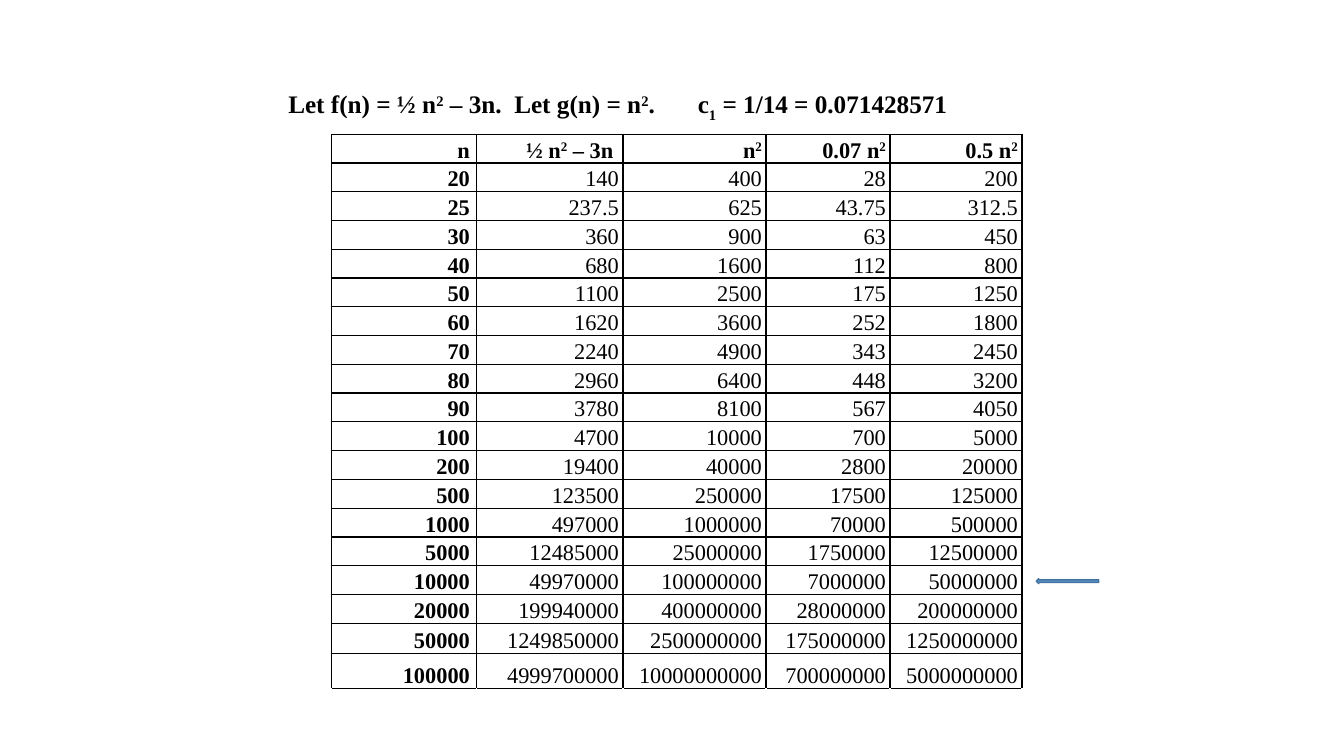
from lxml import etree
from pptx import Presentation
from pptx.dml.color import RGBColor
from pptx.enum import shapes, text
from pptx.oxml import ns
from pptx.util import Pt

SUPER, SUB = 30000, -25000
BLACK, WHITE = "000000", "FFFFFF"


def add_runs(paragraph, runs, size, bold):
    """Add (text, baseline) runs; baseline is in thousandths of a percent."""
    for words, baseline in runs:
        run = paragraph.add_run()
        run.text = words
        run.font.name = "Times New Roman"
        run.font.size = Pt(size)
        run.font.bold = bold
        run.font.color.rgb = RGBColor.from_string(BLACK)
        if baseline:
            run.font._element.set("baseline", str(baseline))


def style_cell(cell, borders):
    """Fill the cell white and draw its left, right, top and bottom borders."""
    cell.fill.solid()
    cell.fill.fore_color.rgb = RGBColor.from_string(WHITE)
    properties = cell._tc.get_or_add_tcPr()
    for position, (side, color) in enumerate(zip("LRTB", borders)):
        line = etree.Element(ns.qn(f"a:ln{side}"), w=str(Pt(1)))
        solid = etree.SubElement(line, ns.qn("a:solidFill"))
        etree.SubElement(solid, ns.qn("a:srgbClr"), val=color)
        properties.insert(position, line)


presentation = Presentation()
presentation.slide_width, presentation.slide_height = Pt(960), Pt(540)
slide = presentation.slides.add_slide(presentation.slide_layouts[5])

# Title with the two functions and the constant
title = slide.shapes.title
title.left, title.top, title.width, title.height = Pt(198.7), Pt(59.8), Pt(516.2), Pt(29)
frame = title.text_frame
frame.word_wrap = True
frame.auto_size = text.MSO_AUTO_SIZE.NONE
frame.vertical_anchor = text.MSO_ANCHOR.TOP
paragraph = frame.paragraphs[0]
paragraph.alignment = text.PP_ALIGN.LEFT
tabs = etree.SubElement(paragraph._p.get_or_add_pPr(), ns.qn("a:tabLst"))
etree.SubElement(tabs, ns.qn("a:tab"), pos=str(Pt(292.5)), algn="l")
add_runs(paragraph, [
    ("Let f(n) = ½ n", 0), ("2", SUPER), (" – 3n.  Let g(n) = n", 0), ("2", SUPER),
    (".\tc", 0), ("1", SUB), (" = 1/14 = 0.071428571", 0),
], 18, True)

# Table of function values, closed by an empty row
headers = [
    [("n", 0)],
    [("½ n", 0), ("2", SUPER), (" – 3n ", 0)],
    [("n", 0), ("2", SUPER)],
    [("0.07 n", 0), ("2", SUPER)],
    [("0.5 n", 0), ("2", SUPER)],
]
sizes = [20, 25, 30, 40, 50, 60, 70, 80, 90, 100, 200, 500,
         1000, 5000, 10000, 20000, 50000, 100000]
rows = [headers]
for n in sizes:
    values = [n, n * n / 2 - 3 * n, n * n, 7 * n * n / 100, n * n / 2]
    rows.append([[(f"{value:.12g}", 0)] for value in values])

column_widths = [103.7, 104.4, 102.2, 88.6, 94.3]
row_heights = [20.57] * 17 + [21.6, 25.2, 27.4]
table = slide.shapes.add_table(
    len(row_heights), len(column_widths), Pt(236.9), Pt(95.8),
    Pt(sum(column_widths)), Pt(sum(row_heights))).table
table.first_row = table.horz_banding = False
for column, width in zip(table.columns, column_widths):
    column.width = Pt(width)
for row, height in zip(table.rows, row_heights):
    row.height = Pt(height)

for row_index, row in enumerate(rows):
    for column_index, runs in enumerate(row):
        cell = table.cell(row_index, column_index)
        style_cell(cell, [BLACK] * 4)
        cell.vertical_anchor = text.MSO_ANCHOR.BOTTOM
        cell.margin_top = cell.margin_bottom = 0
        cell.margin_left = cell.margin_right = Pt(5 if column_index == 0 else 3)
        paragraph = cell.text_frame.paragraphs[0]
        paragraph.alignment = text.PP_ALIGN.RIGHT
        paragraph.line_spacing = 1.07
        add_runs(paragraph, runs, 16, row_index == 0 or column_index == 0)

for cell in table.rows[len(rows)].cells:
    style_cell(cell, [WHITE, WHITE, BLACK, WHITE])
    cell.text_frame.paragraphs[0].font.size = Pt(12)

# Arrow pointing at the row for n = 10000
arrow = slide.shapes.add_shape(
    shapes.MSO_SHAPE.LEFT_ARROW, Pt(740.2), Pt(413.3), Pt(44.6), Pt(3.6))
arrow.shadow.inherit = False
arrow.fill.solid()
arrow.fill.fore_color.rgb = RGBColor.from_string("5B9BD5")
arrow.line.color.rgb = RGBColor.from_string("43739E")
arrow.line.width = Pt(1)

presentation.save("out.pptx")
